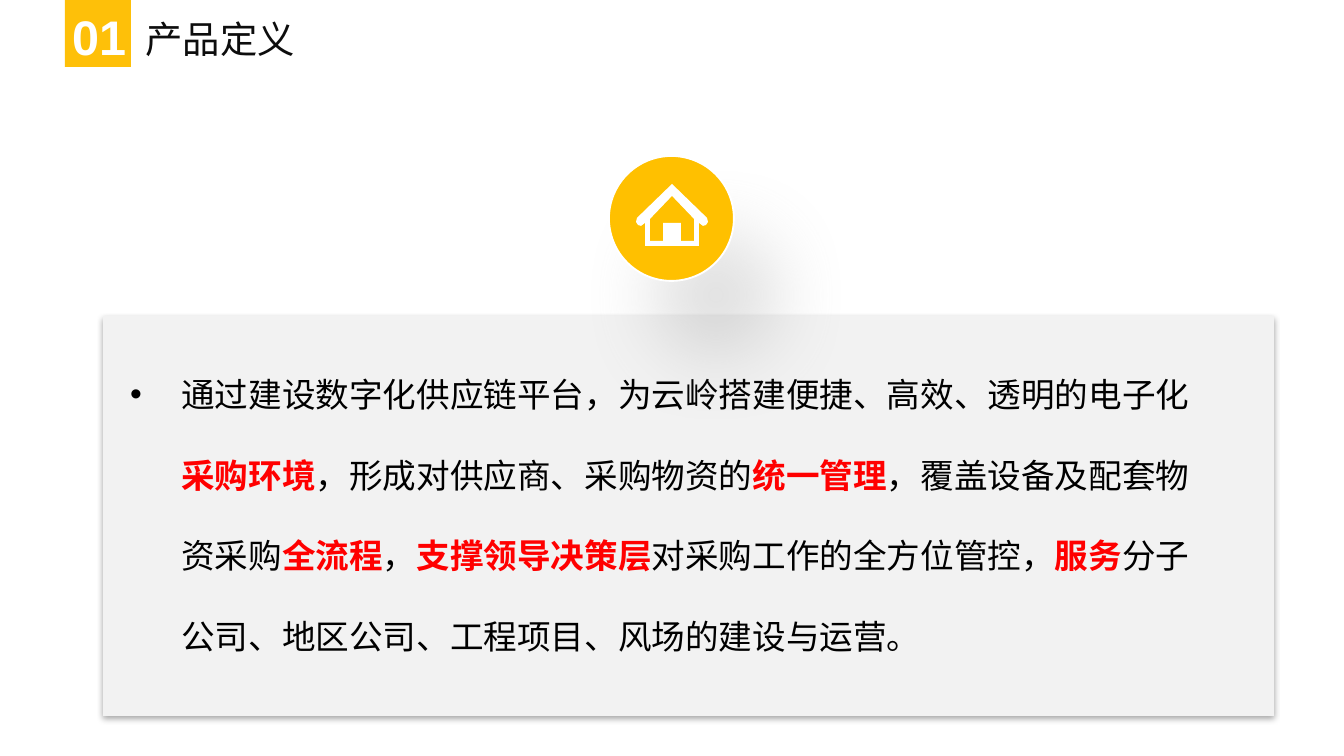
from dataclasses import dataclass

from lxml import etree
from pptx import Presentation
from pptx import util as u
from pptx.dml.color import RGBColor
from pptx.enum import shapes, text
from pptx.oxml import ns

PX = 914400 / 134.4


@dataclass(frozen=True)
class Theme:
    latin: str = "Arial"
    chinese: str = "Noto Sans CJK SC"
    panel: str = "F2F2F2"
    tab: str = "FEC009"
    badge: str = "FFC000"
    white: str = "FFFFFF"
    title: str = "0D0D0D"
    body: str = "000000"
    accent: str = "FF0000"
    number_size: int = 26
    title_size: int = 20
    body_size: int = 18


THEME = Theme()

DEFINITION = [
    ("通过建设数字化供应链平台，为云岭搭建便捷、高效、透明的电子化", False),
    ("采购环境", True),
    ("，形成对供应商、采购物资的", False),
    ("统一管理", True),
    ("，覆盖设备及配套物资采购", False),
    ("全流程", True),
    ("，", False),
    ("支撑领导决策层", True),
    ("对采购工作的全方位管控，", False),
    ("服务", True),
    ("分子公司、地区公司、工程项目、风场的建设与运营。", False),
]

HOUSE_AXIS = 672
HOUSE_WALL = [(672, 184), (637, 218), (636, 222), (638, 225), (641, 226), (645, 223), (645, 246)]
HOUSE_ROOM = [(672, 196), (650, 219), (650, 241), (663, 241), (663, 223)]


def px(length):
    return u.Emu(round(length * PX))


def rgb(code):
    return RGBColor.from_string(code)


def add_child(parent, tag, **attributes):
    return etree.SubElement(parent, ns.qn(tag), {k: str(v) for k, v in attributes.items()})


def fill_shape(shape, color):
    shape.shadow.inherit = False
    shape.fill.solid()
    shape.fill.fore_color.rgb = rgb(color)
    shape.line.fill.background()


def add_block(slide, kind, frame, color):
    shape = slide.shapes.add_shape(kind, *map(px, frame))
    fill_shape(shape, color)
    return shape


def add_shadow(shape, color, opacity, blur, distance, angle):
    effects = shape._element.spPr.find(ns.qn("a:effectLst"))
    shadow = add_child(effects, "a:outerShdw", blurRad=u.Pt(blur), dist=u.Pt(distance),
                       dir=angle * 60000, algn="t", rotWithShape=0)
    tone = add_child(shadow, "a:srgbClr", val=color)
    add_child(tone, "a:alpha", val=opacity * 1000)


def set_font(font, face, size, color, bold=False):
    font.name, font.size, font.bold = face, u.Pt(size), bold
    font.color.rgb = rgb(color)
    add_child(font._element, "a:ea", typeface=face)


def add_text_box(slide, frame, wrap):
    box = slide.shapes.add_textbox(*map(px, frame))
    box.text_frame.word_wrap = wrap
    box.text_frame.auto_size = text.MSO_AUTO_SIZE.SHAPE_TO_FIT_TEXT
    return box.text_frame.paragraphs[0]


def set_title(slide, words, frame):
    title = slide.shapes.title
    title.left, title.top, title.width, title.height = map(px, frame)
    title.text_frame.text = words
    title.text_frame.word_wrap = False
    title.text_frame.auto_size = text.MSO_AUTO_SIZE.SHAPE_TO_FIT_TEXT
    title.text_frame.vertical_anchor = text.MSO_ANCHOR.TOP
    para = title.text_frame.paragraphs[0]
    para.alignment = text.PP_ALIGN.LEFT
    set_font(para.font, THEME.chinese, THEME.title_size, THEME.title)


def add_number(slide, words, frame):
    para = add_text_box(slide, frame, False)
    para.text = words
    para.alignment = text.PP_ALIGN.JUSTIFY
    set_font(para.font, THEME.latin, THEME.number_size, THEME.white, True)


def add_bullet(slide, spans, frame):
    para = add_text_box(slide, frame, True)
    para.line_spacing = 2.0
    settings = para._p.get_or_add_pPr()
    settings.set("marL", str(u.Inches(0.38)))
    settings.set("indent", str(u.Inches(-0.38)))
    add_child(settings, "a:buFont", typeface=THEME.latin)
    add_child(settings, "a:buChar", char="•")
    set_font(para.font, THEME.chinese, THEME.body_size, THEME.body)
    for words, strong in spans:
        span = para.add_run()
        span.text = words
        if strong:
            span.font.bold = True
            span.font.color.rgb = rgb(THEME.accent)


def mirrored(half):
    return half + [(2 * HOUSE_AXIS - x, y) for x, y in reversed(half[1:])]


def add_house(slide):
    wall, room = mirrored(HOUSE_WALL), mirrored(HOUSE_ROOM)
    builder = slide.shapes.build_freeform(*wall[0], scale=PX)
    builder.add_line_segments(wall[1:], close=True)
    builder.move_to(*room[0])
    builder.add_line_segments(room[1:], close=True)
    fill_shape(builder.convert_to_shape(), THEME.white)


def add_badge(slide):
    badge = add_block(slide, shapes.MSO_SHAPE.OVAL, (609, 156, 125, 125), THEME.badge)
    badge.line.color.rgb = rgb(THEME.white)
    badge.line.width = u.Pt(1)
    add_shadow(badge, "808080", 23, 40, 47, 60)
    add_house(slide)


def main():
    deck = Presentation()
    deck.slide_width, deck.slide_height = px(1344), px(756)
    slide = deck.slides.add_slide(deck.slide_layouts[5])
    panel = add_block(slide, shapes.MSO_SHAPE.RECTANGLE, (103, 316, 1171, 400), THEME.panel)
    add_shadow(panel, "000000", 35, 3.1, 1.8, 90)
    add_block(slide, shapes.MSO_SHAPE.RECTANGLE, (65, -3, 66, 70), THEME.tab)
    add_number(slide, "01", (59, 0, 82, 73))
    set_title(slide, "产品定义", (132, 9, 177, 59))
    add_bullet(slide, DEFINITION, (117, 327, 1116, 327))
    add_badge(slide)
    deck.save("out.pptx")


if __name__ == "__main__":
    main()
